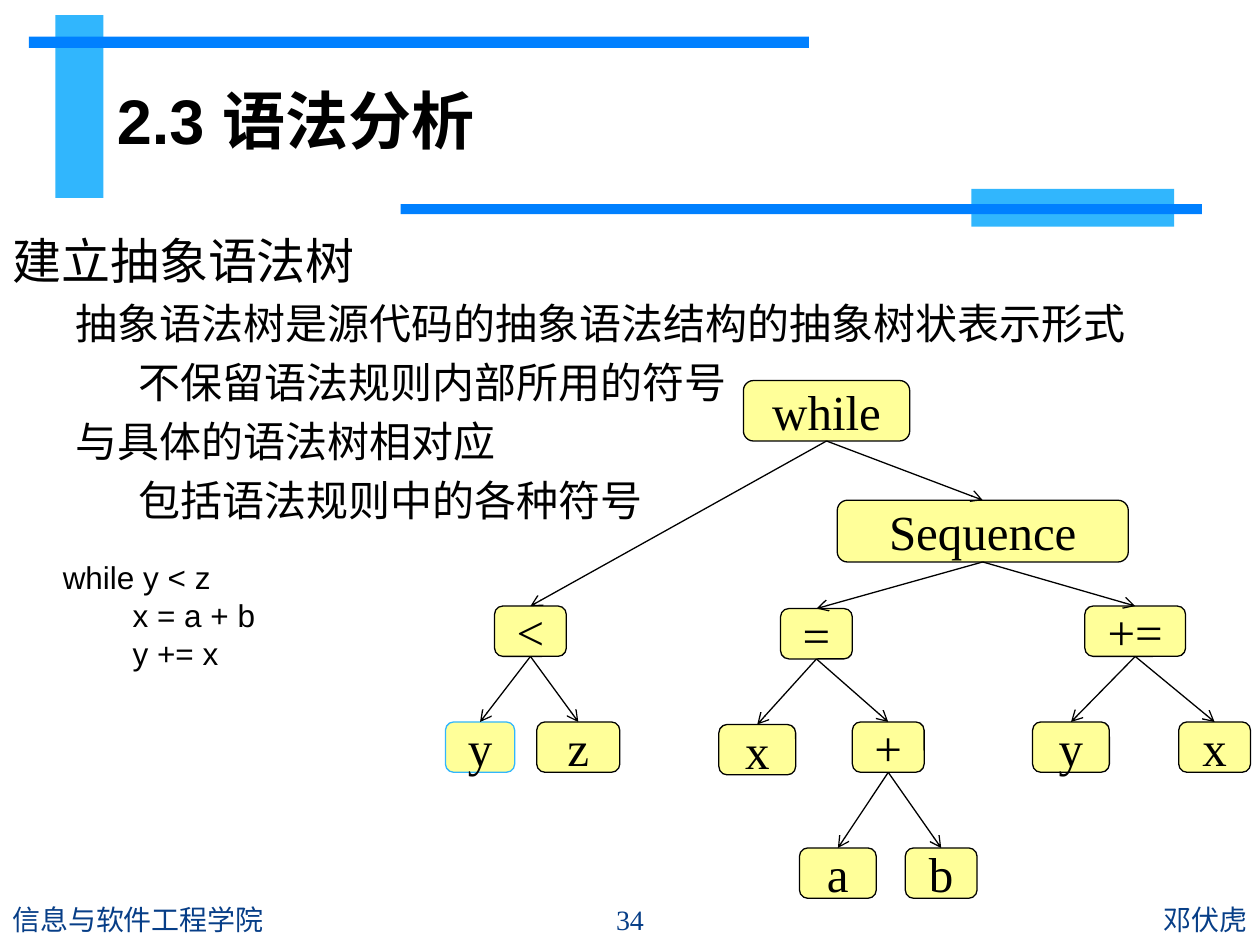
from dataclasses import dataclass
from lxml.etree import SubElement
from pptx import Presentation
from pptx.dml.color import RGBColor as RGB
from pptx.enum.shapes import MSO_CONNECTOR as CONN, MSO_SHAPE as SHAPE
from pptx.enum.text import MSO_ANCHOR as ANCHOR, PP_ALIGN as ALIGN
from pptx.oxml.ns import qn
from pptx.util import Inches, Pt


@dataclass(frozen=True)
class Theme:
    ink: RGB = RGB(0, 0, 0)
    navy: RGB = RGB(0x07, 0x3E, 0x87)
    sky: RGB = RGB(0x31, 0xB6, 0xFD)
    blue: RGB = RGB(0, 0x80, 0xFF)
    node: RGB = RGB(0xFF, 0xFF, 0x99)
    hair: Pt = Pt(0.75)
    sans: str = "Arial"
    body: str = "Calibri"
    serif: str = "Times New Roman"
    title: Pt = Pt(36)
    large: Pt = Pt(28)
    medium: Pt = Pt(24)
    code: Pt = Pt(18)
    footer: Pt = Pt(16)


T = Theme()


@dataclass
class Node:
    text: str
    cx: float
    top: float
    w: float = 0.57
    h: float = 0.4
    kids: tuple = ()
    line: RGB = T.ink


# Centres and tops are measured from the corner of the tree's box
TREE = Node("while", 3.03, 0, 1.32, 0.48, (
    Node("<", 0.68, 1.79, kids=(
        Node("y", 0.28, 2.71, 0.55, line=T.sky),
        Node("z", 1.06, 2.71, 0.66))),
    Node("Sequence", 4.27, 0.95, 2.31, 0.49, (
        Node("=", 2.95, 1.81, kids=(
            Node("x", 2.48, 2.73, 0.61),
            Node("+", 3.52, 2.71, kids=(
                Node("a", 3.12, 3.71, 0.61),
                Node("b", 3.94, 3.71))))),
        Node("+=", 5.48, 1.79, 0.8, kids=(
            Node("y", 4.97, 2.71, 0.61),
            Node("x", 6.11, 2.71)))))))

# Text and outline level
POINTS = [
    ("建立抽象语法树", 0),
    ("抽象语法树是源代码的抽象语法结构的抽象树状表示形式", 1),
    ("不保留语法规则内部所用的符号", 2),
    ("与具体的语法树相对应", 1),
    ("包括语法规则中的各种符号", 2),
]
CODE = ["while y < z", "        x = a + b", "        y += x"]


def set_all(obj, **values):
    for name, value in values.items():
        setattr(obj, name, value)


def write(p, text, font, size, color=T.ink, bold=False, align=ALIGN.LEFT):
    p.alignment = align
    r = p.add_run()
    r.text = text
    set_all(r.font, name=font, size=size, bold=bold)
    r.font.color.rgb = color


def add_text(s, box, anchor=ANCHOR.TOP):
    tf = s.shapes.add_textbox(*map(Inches, box)).text_frame
    set_all(tf, word_wrap=True, vertical_anchor=anchor)
    return tf


def next_paragraph(tf, i):
    return tf.add_paragraph() if i else tf.paragraphs[0]


def add_frame(s, box):
    """Crossed bars around the title."""
    x, y, w, h = box
    bars = [(0.21, 0, 0.38, 1.45, T.sky), (0, 0.17, 6.19, 0.09, T.blue),
            (w - 1.83, h - 0.3, 1.61, 0.3, T.sky),
            (w - 6.36, h - 0.18, 6.36, 0.08, T.blue)]
    for dx, dy, bw, bh, color in bars:
        sp = s.shapes.add_shape(SHAPE.RECTANGLE, *map(Inches, (x + dx, y + dy, bw, bh)))
        sp.shadow.inherit = False
        sp.fill.solid()
        sp.fill.fore_color.rgb = color
        sp.line.fill.background()


def add_title(s, box):
    tf = add_text(s, box, ANCHOR.MIDDLE)
    write(tf.paragraphs[0], "2.3 语法分析", T.sans, T.title, bold=True)


def add_points(s, box):
    tf = add_text(s, box)
    for i, (text, level) in enumerate(POINTS):
        p = next_paragraph(tf, i)
        size = T.medium if level else T.large
        if level:
            p.space_before = Pt(size.pt * 0.2)
            pPr = p._p.get_or_add_pPr()
            pPr.set("marL", str(Inches(0.5 * (level - 1))))
            pPr.set("indent", str(Inches(0.5)))
        write(p, text, T.body, size)


def add_code(s, box):
    tf = add_text(s, box)
    for i, line in enumerate(CODE):
        write(next_paragraph(tf, i), line, T.sans, T.code)


def add_arrow(s, parent, child):
    """Link the bottom of the parent to the top of the child."""
    line = s.shapes.add_connector(CONN.STRAIGHT, 0, 0, 0, 0)
    line.begin_connect(parent, 2)
    line.end_connect(child, 0)
    line.line.color.rgb = T.ink
    line.line.width = T.hair
    SubElement(line.line._get_or_add_ln(), qn("a:tailEnd"), type="arrow")
    SubElement(line._element.spPr, qn("a:effectLst"))


def add_tree(s, box, node):
    """Draw a node and, below it, its subtrees."""
    x, y = box[:2]
    sp = s.shapes.add_shape(
        SHAPE.ROUNDED_RECTANGLE,
        *map(Inches, (x + node.cx - node.w / 2, y + node.top, node.w, node.h)))
    sp.shadow.inherit = False
    sp.fill.solid()
    sp.fill.fore_color.rgb = T.node
    sp.line.color.rgb = node.line
    sp.line.width = T.hair
    sp.text_frame.vertical_anchor = ANCHOR.MIDDLE
    write(sp.text_frame.paragraphs[0], node.text, T.serif, T.large, align=ALIGN.CENTER)
    for kid in node.kids:
        add_arrow(s, sp, add_tree(s, box, kid))
    return sp


def add_footer(s, box):
    x, y, w, h = box
    side, middle = 4.14, 1.27
    parts = [("信息与软件工程学院", 0, side, T.body, ALIGN.LEFT),
             ("34", (w - middle) / 2, middle, T.serif, ALIGN.CENTER),
             ("邓伏虎", w - side, side, T.body, ALIGN.RIGHT)]
    for text, dx, pw, font, align in parts:
        tf = add_text(s, (x + dx, y, pw, h), ANCHOR.MIDDLE)
        write(tf.paragraphs[0], text, font, T.footer, T.navy, align=align)


def main():
    prs = Presentation()
    set_all(prs, slide_width=Inches(10), slide_height=Inches(7.5))
    s = prs.slides.add_slide(prs.slide_layouts[6])
    add_frame(s, (0.23, 0.12, 9.31, 1.68))
    add_points(s, (0, 1.78, 10, 5.32))
    add_title(s, (0.83, 0.44, 7.72, 1.02))
    add_footer(s, (0, 7.1, 10, 0.4))
    add_tree(s, (3.53, 3.02, 6.39, 4.11), TREE)
    add_code(s, (0.4, 4.38, 3.33, 1.01))
    prs.save("out.pptx")


if __name__ == "__main__":
    main()
